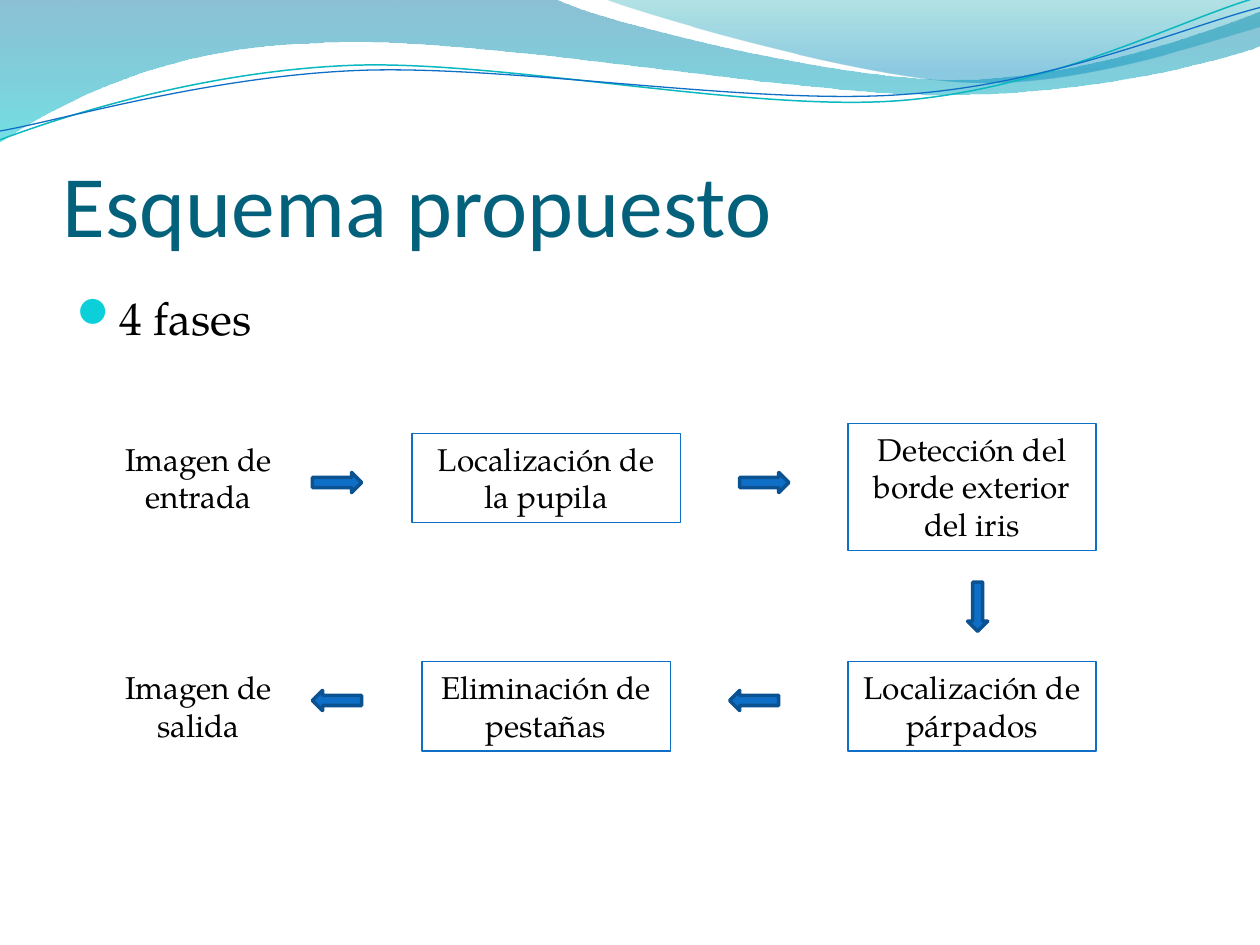
import pptx
import pptx.util
import pptx.dml.color
import pptx.enum.shapes
import pptx.enum.text
import pptx.oxml
import pptx.oxml.ns
import lxml.etree

SHAPE = pptx.enum.shapes.MSO_SHAPE
ALIGN = pptx.enum.text.PP_ALIGN
ANCHOR = pptx.enum.text.MSO_ANCHOR
SERIF = "TeX Gyre Pagella"
BLUE = "0F6FC6"
COLS = [0.59, 3.35, 6.73]
ROWS = [3.44, 5.25]
BOX_W, BOX_H = 1.97, 0.71
ARROW_LONG, ARROW_SHORT = 0.39, 0.16


def inch(value):
    return pptx.util.Inches(value)


def qn(tag):
    return pptx.oxml.ns.qn("a:" + tag)


def color(value):
    return pptx.dml.color.RGBColor.from_string(value)


def set_line(sp, value=None, width=0.75):
    if value is None:
        sp.line.fill.background()
    else:
        sp.line.color.rgb = color(value)
        sp.line.width = pptx.util.Pt(width)


def set_gradient(sp, stops):
    sp.fill.gradient()
    grad = sp.element.spPr.find(qn("gradFill"))
    marks = "".join(
        f'<a:gs pos="{pos * 1000}"><a:srgbClr val="{value}">'
        f'<a:alpha val="{alpha * 1000}"/></a:srgbClr></a:gs>'
        for pos, value, alpha in stops)
    new = pptx.oxml.parse_xml(
        f'<a:gradFill {pptx.oxml.ns.nsdecls("a")} rotWithShape="1">'
        f'<a:gsLst>{marks}</a:gsLst><a:lin ang="5400000" scaled="0"/></a:gradFill>')
    grad.getparent().replace(grad, new)


def curve_segments(sp, parts):
    segments = iter(list(sp.element.spPr.iter(qn("lnTo"))))
    for part in parts:
        group = [next(segments) for _ in part]
        if len(group) == 3:
            curve = lxml.etree.Element(qn("cubicBezTo"))
            group[0].addprevious(curve)
            for segment in group:
                curve.append(segment[0])
                segment.getparent().remove(segment)


def add_wave(slide, start, parts, stops=None, line=None, width=0.75):
    points = [(inch(x), inch(y)) for x, y in [start] + sum(parts, [])]
    builder = slide.shapes.build_freeform(*points[0], scale=1.0)
    builder.add_line_segments(points[1:], close=bool(stops))
    sp = builder.convert_to_shape()
    curve_segments(sp, parts)
    sp.shadow.inherit = False
    set_line(sp, line, width)
    if stops:
        set_gradient(sp, stops)
    else:
        sp.fill.background()


def add_waves(slide):
    add_wave(slide, (0, 0), [
        [(4.4, -0.01)],
        [(4.76, 0.17), (6.64, 0.63), (7.58, 0.63)],
        [(8.53, 0.63), (9.58, 0.26), (10, 0.09)],
        [(10.01, 0.36)],
        [(9.83, 0.44), (8.7, 0.76), (7.46, 0.75)],
        [(6.22, 0.75), (3.82, 0.28), (2.57, 0.34)],
        [(1.29, 0.36), (0.46, 0.83), (-0.01, 1.13)],
    ], stops=[(0, "0074A1", 45), (100, "00C6CF", 55)])
    add_wave(slide, (4.79, -0.01), [
        [(5.09, 0.11), (6.82, 0.62), (7.69, 0.65)],
        [(8.56, 0.69), (9.61, 0.32), (10, 0.21)],
        [(10, 0)],
    ], stops=[(0, "00A1A9", 30), (80, "008BBF", 45)])
    add_wave(slide, (0, 1.11), [
        [(0.48, 0.93), (1.58, 0.57), (2.77, 0.52)],
        [(3.95, 0.47), (5.93, 0.89), (7.13, 0.8)],
        [(8.33, 0.71), (9.38, 0.15), (9.98, -0.02)],
    ], line="0AB8BF", width=0.85)
    add_wave(slide, (0, 1.04), [
        [(0.47, 0.96), (1.64, 0.61), (2.83, 0.56)],
        [(4.03, 0.51), (5.97, 0.84), (7.17, 0.75)],
        [(8.36, 0.67), (9.41, 0.21), (10, 0.06)],
    ], line=BLUE)


def write(sp, text, size=18, font=SERIF, value="000000", align=ALIGN.CENTER,
          anchor=ANCHOR.TOP):
    tf = sp.text_frame
    tf.word_wrap = True
    tf.vertical_anchor = anchor
    for i, line in enumerate(text.split("\n")):
        p = tf.add_paragraph() if i else tf.paragraphs[0]
        p.alignment = align
        r = p.add_run()
        r.text = line
        r.font.size = pptx.util.Pt(size)
        r.font.name = font
        r.font.color.rgb = color(value)
    return tf


def add_text(slide, left, top, width, height, text, **fmt):
    sp = slide.shapes.add_textbox(*map(inch, (left, top, width, height)))
    return write(sp, text, **fmt)


def add_bullet(p, char, font, value, size, indent):
    pPr = p._p.get_or_add_pPr()
    pPr.set("marL", str(inch(indent)))
    pPr.set("indent", str(-inch(indent)))
    clr = lxml.etree.SubElement(pPr, qn("buClr"))
    lxml.etree.SubElement(clr, qn("srgbClr")).set("val", value)
    lxml.etree.SubElement(pPr, qn("buSzPct")).set("val", str(size * 1000))
    lxml.etree.SubElement(pPr, qn("buFont")).set("typeface", font)
    lxml.etree.SubElement(pPr, qn("buChar")).set("char", char)


def add_shape(slide, kind, left, top, width, height, fill=None, line=BLUE, line_width=0.75):
    sp = slide.shapes.add_shape(kind, *map(inch, (left, top, width, height)))
    sp.shadow.inherit = False
    set_line(sp, line, line_width)
    if fill:
        sp.fill.solid()
        sp.fill.fore_color.rgb = color(fill)
    else:
        sp.fill.background()
    return sp


def add_phase(slide, col, row, text, grow_x=0, grow_top=0, height=BOX_H):
    sp = add_shape(slide, SHAPE.RECTANGLE, COLS[col] - grow_x, ROWS[row] - grow_top,
                   BOX_W + 2 * grow_x, height)
    write(sp, text)


def add_arrow(slide, kind, left, top):
    size = (ARROW_LONG, ARROW_SHORT)
    if kind == SHAPE.DOWN_ARROW:
        size = size[::-1]
    add_shape(slide, kind, left, top, *size, fill=BLUE, line="0B5292", line_width=2)


def main():
    prs = pptx.Presentation()
    prs.slide_width, prs.slide_height = inch(10), inch(7.5)
    slide = prs.slides.add_slide(prs.slide_layouts[6])
    add_waves(slide)

    tf = add_text(slide, 0.5, 0.77, 9, 1.25, "Esquema propuesto", size=50,
                  font="Calibri", value="04617B", align=ALIGN.LEFT, anchor=ANCHOR.BOTTOM)
    tf.margin_left = tf.margin_right = tf.margin_bottom = 0
    tf = add_text(slide, 0.51, 2.25, 9, 0.61, "4 fases", size=26, align=ALIGN.LEFT)
    tf.paragraphs[0].space_before = pptx.util.Pt(5.2)
    add_bullet(tf.paragraphs[0], "\uf097", "Wingdings 2", "0BD0D9", 95, 0.3)

    add_phase(slide, 1, 0, "Localización de\nla pupila", grow_x=0.08)
    add_phase(slide, 2, 0, "Detección del borde exterior del iris", grow_top=0.08, height=1.01)
    add_phase(slide, 2, 1, "Localización de párpados")
    add_phase(slide, 1, 1, "Eliminación de pestañas")
    for top, text in zip(ROWS, ("Imagen de entrada", "Imagen de salida")):
        add_text(slide, COLS[0], top, BOX_W, BOX_H, text)

    for kind, left, top in (
        (SHAPE.RIGHT_ARROW, 2.48, 3.75),
        (SHAPE.RIGHT_ARROW, 5.87, 3.75),
        (SHAPE.DOWN_ARROW, 7.68, 4.62),
        (SHAPE.LEFT_ARROW, 5.79, 5.48),
        (SHAPE.LEFT_ARROW, 2.48, 5.48),
    ):
        add_arrow(slide, kind, left, top)
    prs.save("out.pptx")


main()
